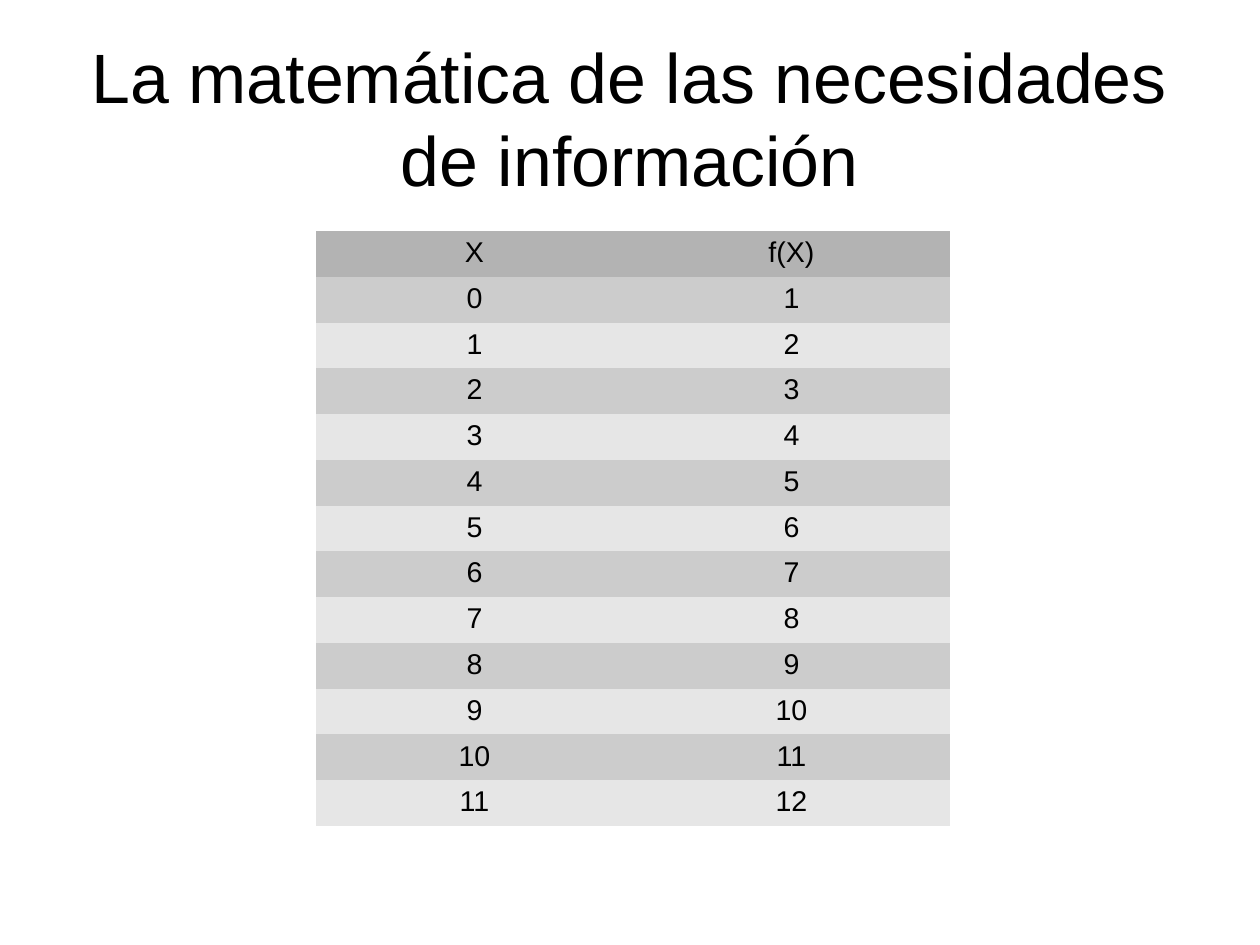
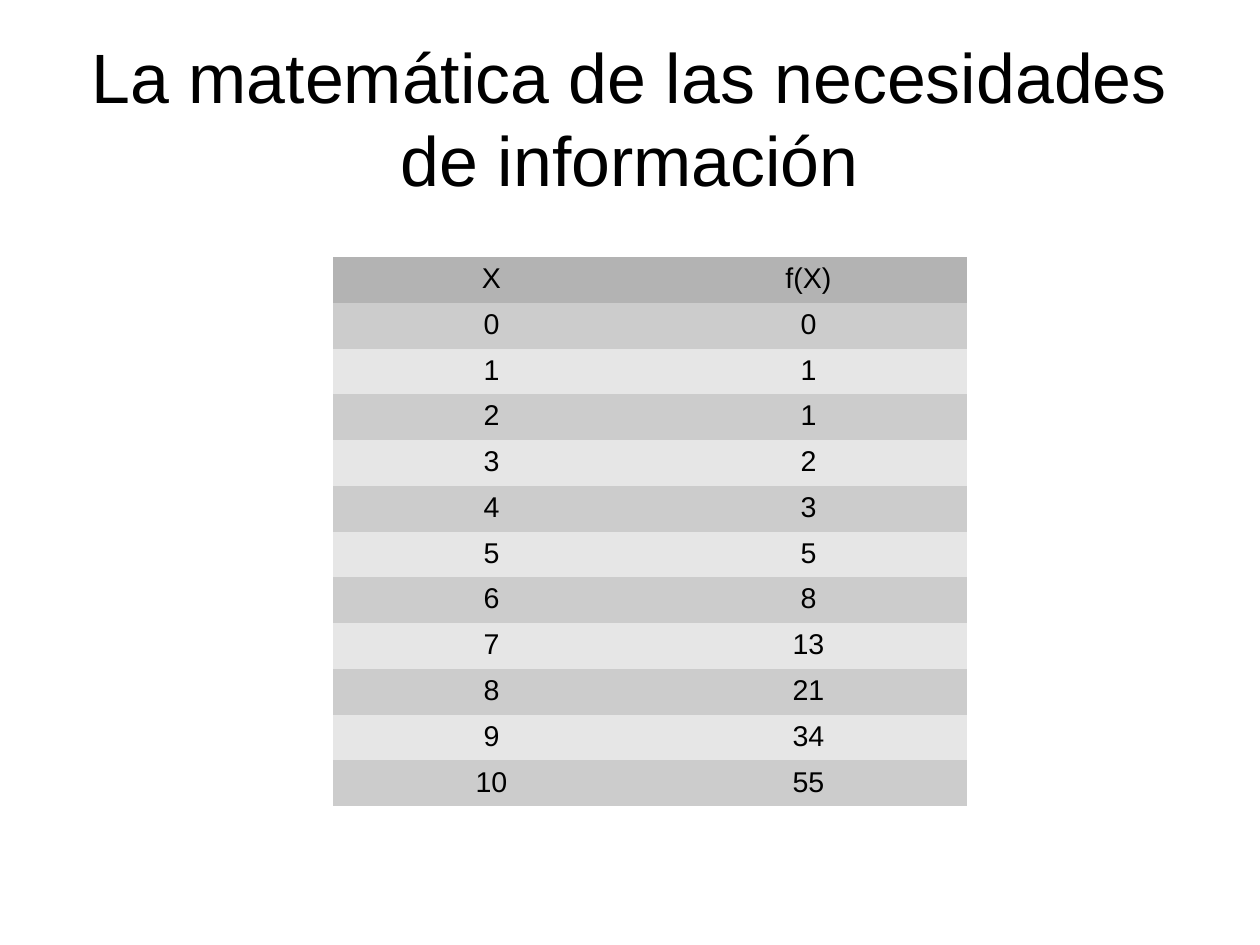
import pptx
import pptx.util
import pptx.dml.color
import pptx.enum.text

# Content
TITLE = "La matemática de las necesidades de información"
HEADER = ("X", "f(X)")
TABLES = [
    {"left": 316, "top": 231, "values": [1, 2, 3, 4, 5, 6, 7, 8, 9, 10, 11, 12]},
    {"left": 333, "top": 257, "values": [0, 1, 1, 2, 3, 5, 8, 13, 21, 34, 55]},
]

# Shared style
PX = 8000  # EMU per px
SLIDE_W, SLIDE_H = 1260, 945
TITLE_BOX = (63, 38, 1134, 158)
COL_W, ROW_H = 317, 44
FONT = "Arial"
COLORS = {"text": "000000", "header": "B3B3B3", "odd": "CCCCCC",
          "even": "E6E6E6", "background": "FFFFFF"}
NO_STYLE = "{2D5ABB26-0587-4C30-8999-92F81FD0307C}"


def px(n):
    return pptx.util.Emu(n * PX)


def rgb(name):
    return pptx.dml.color.RGBColor.from_string(COLORS[name])


def write(tf, text, size):
    tf.text = text
    p = tf.paragraphs[0]
    p.alignment = pptx.enum.text.PP_ALIGN.CENTER
    font = p.runs[0].font
    font.name, font.size = FONT, pptx.util.Pt(size)
    font.color.rgb = rgb("text")


def add_title(s):
    sp = s.shapes.title
    sp.left, sp.top, sp.width, sp.height = map(px, TITLE_BOX)
    tf = sp.text_frame
    tf.margin_left = tf.margin_top = tf.margin_right = tf.margin_bottom = 0
    tf.word_wrap = True
    tf.vertical_anchor = pptx.enum.text.MSO_ANCHOR.MIDDLE
    tf.auto_size = pptx.enum.text.MSO_AUTO_SIZE.SHAPE_TO_FIT_TEXT
    write(tf, TITLE, 44)


def add_function_table(s, left, top, values):
    rows = [HEADER, *enumerate(values)]
    frame = s.shapes.add_table(len(rows), len(HEADER), px(left), px(top),
                               px(COL_W * len(HEADER)), px(ROW_H * len(rows)))
    table = frame.table
    # Plain table style, so that no borders are drawn between cells
    table.first_row = table.horz_banding = False
    table._tbl.tblPr[0].text = NO_STYLE
    for col in table.columns:
        col.width = px(COL_W)
    for i, row in enumerate(rows):
        table.rows[i].height = px(ROW_H)
        band = "header" if i == 0 else "odd" if i % 2 else "even"
        for j, value in enumerate(row):
            cell = table.cell(i, j)
            cell.fill.solid()
            cell.fill.fore_color.rgb = rgb(band)
            write(cell.text_frame, str(value), 18)


def main():
    prs = pptx.Presentation()
    prs.slide_width, prs.slide_height = px(SLIDE_W), px(SLIDE_H)
    background = prs.slide_master.background.fill
    background.solid()
    background.fore_color.rgb = rgb("background")
    title_only = prs.slide_layouts[5]
    for spot in TABLES:
        s = prs.slides.add_slide(title_only)
        add_title(s)
        add_function_table(s, **spot)
    prs.save("out.pptx")


if __name__ == "__main__":
    main()
